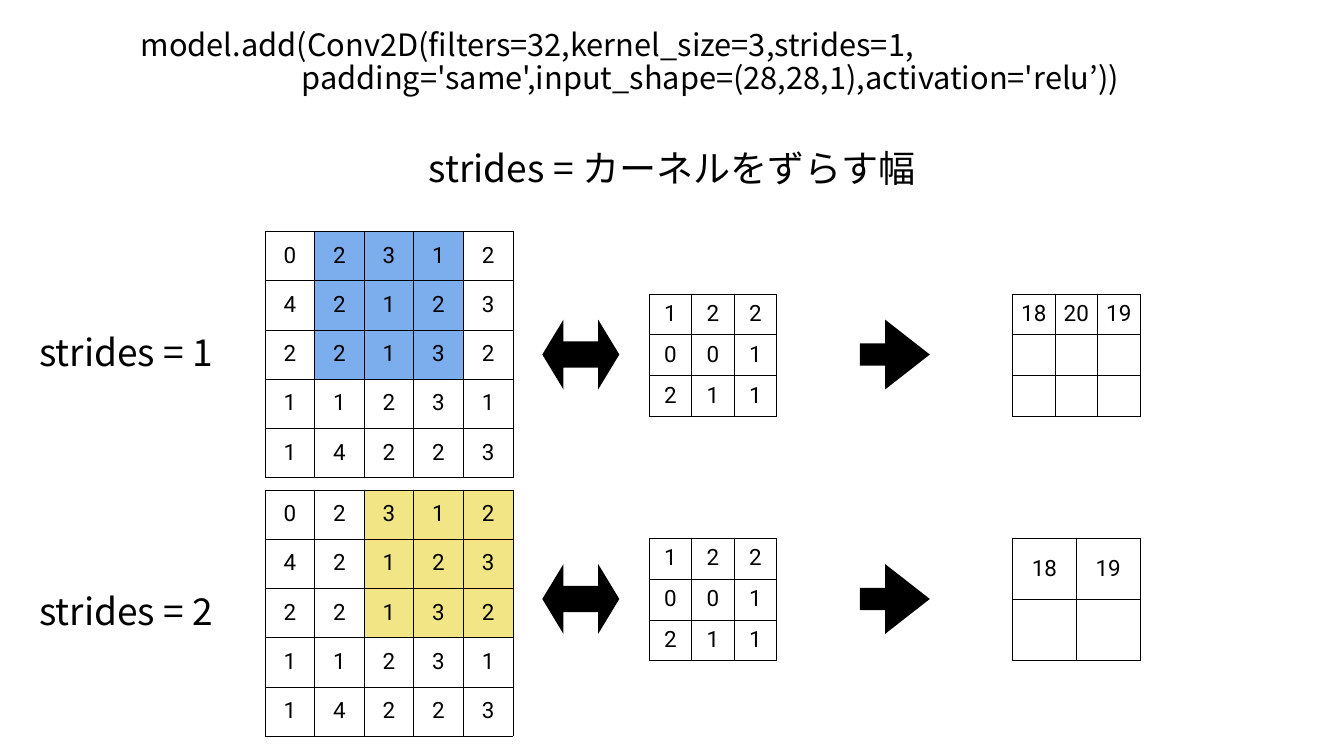
from lxml import etree
from pptx import Presentation
from pptx.dml.color import RGBColor
from pptx.enum import shapes, text
from pptx.oxml import ns
from pptx.util import Pt

BLACK = RGBColor(0x00, 0x00, 0x00)
WHITE = RGBColor(0xFF, 0xFF, 0xFF)
BLUE = RGBColor(0x7C, 0xAD, 0xED)
YELLOW = RGBColor(0xF1, 0xE5, 0x86)

SANS = "Noto Sans CJK JP"
DIGITS = "Roboto"
INSET = Pt(4.5)
CELL_W, CELL_H = 70.8, 70.4
SMALL_W, SMALL_H = 182.2, 175
GRID_X, KERNEL_X, RESULT_X = 378.7, 927.4, 1446.5

INPUT = [[0, 2, 3, 1, 2], [4, 2, 1, 2, 3], [2, 2, 1, 3, 2], [1, 1, 2, 3, 1], [1, 4, 2, 2, 3]]
KERNEL = [[1, 2, 2], [0, 0, 1], [2, 1, 1]]


def write(p, content, size=53, font=SANS, align=text.PP_ALIGN.CENTER):
    p.alignment = align
    p.line_spacing = 0.9
    r = p.add_run()
    r.text = str(content)
    r.font.size = Pt(size)
    r.font.name = font
    r.font.color.rgb = BLACK
    ea = etree.SubElement(r.font._element, ns.qn("a:ea"))
    ea.set("typeface", font)


def format_label(sp, content, x, y, w, h):
    sp.left, sp.top, sp.width, sp.height = Pt(x), Pt(y), Pt(w), Pt(h)
    tf = sp.text_frame
    tf.margin_left = tf.margin_right = tf.margin_top = tf.margin_bottom = INSET
    tf.vertical_anchor = text.MSO_ANCHOR.MIDDLE
    tf.word_wrap = False
    tf.auto_size = text.MSO_AUTO_SIZE.SHAPE_TO_FIT_TEXT
    write(tf.paragraphs[0], content)


def add_code(slide, lines, x, y, w, h):
    tf = slide.shapes.add_textbox(Pt(x), Pt(y), Pt(w), Pt(h)).text_frame
    tf.word_wrap = True
    tf.auto_size = text.MSO_AUTO_SIZE.SHAPE_TO_FIT_TEXT
    for i, (content, indent) in enumerate(lines):
        p = tf.add_paragraph() if i else tf.paragraphs[0]
        write(p, content, size=44, align=text.PP_ALIGN.LEFT)
        p._p.get_or_add_pPr().set("marL", str(Pt(indent)))


def add_borders(cell):
    tc_pr = cell._tc.get_or_add_tcPr()
    for side in ("lnL", "lnR", "lnT", "lnB"):
        ln = etree.SubElement(tc_pr, ns.qn("a:" + side), w=str(Pt(1)))
        fill = etree.SubElement(ln, ns.qn("a:solidFill"))
        etree.SubElement(fill, ns.qn("a:srgbClr"), val=str(BLACK))


def fill_cell(cell, color, alpha=None):
    if color is None:
        cell.fill.background()
        return
    cell.fill.solid()
    cell.fill.fore_color.rgb = color
    if alpha:
        clr = cell._tc.tcPr.find(".//" + ns.qn("a:srgbClr"))
        etree.SubElement(clr, ns.qn("a:alpha"), val=str(alpha * 1000))


def add_matrix(slide, values, x, y, w, h, color=None, alpha=None, window=()):
    rows, cols = len(values), len(values[0])
    table = slide.shapes.add_table(rows, cols, Pt(x), Pt(y), Pt(w), Pt(h)).table
    table.first_row = table.horz_banding = False
    for col in table.columns:
        col.width = Pt(w / cols)
    for i, row in enumerate(values):
        table.rows[i].height = Pt(h / rows)
        for j, value in enumerate(row):
            cell = table.cell(i, j)
            cell.margin_left = cell.margin_right = INSET
            cell.margin_top = cell.margin_bottom = INSET
            cell.vertical_anchor = text.MSO_ANCHOR.MIDDLE
            add_borders(cell)
            fill_cell(cell, BLUE if (i, j) in window else color, alpha)
            if value != "":
                write(cell.text_frame.paragraphs[0], value, size=32, font=DIGITS)


def add_arrow(slide, kind, x, y, w, h, adjustments):
    sp = slide.shapes.add_shape(kind, Pt(x), Pt(y), Pt(w), Pt(h))
    sp.shadow.inherit = False
    sp.fill.solid()
    sp.fill.fore_color.rgb = BLACK
    sp.line.fill.background()
    for i, value in enumerate(adjustments):
        sp.adjustments[i] = value


def add_example(slide, stride, grid_y, kernel_y, result, window=()):
    format_label(slide.shapes.add_textbox(0, 0, 0, 0), f"strides = {stride}",
                 33.8, grid_y + 143.3, 293, 65.5)
    add_matrix(slide, INPUT, GRID_X, grid_y, 5 * CELL_W, 5 * CELL_H, color=WHITE, window=window)
    add_matrix(slide, KERNEL, KERNEL_X, kernel_y, SMALL_W, SMALL_H)
    add_matrix(slide, result, RESULT_X, kernel_y, SMALL_W, SMALL_H)
    arrow_y = kernel_y + 36.7
    add_arrow(slide, shapes.MSO_SHAPE.LEFT_RIGHT_ARROW, 774.7, arrow_y, 110, 100, (0.376, 0.303))
    add_arrow(slide, shapes.MSO_SHAPE.RIGHT_ARROW, 1228.3, arrow_y, 100, 100, (0.32, 0.64))


def main():
    prs = Presentation()
    prs.slide_width, prs.slide_height = Pt(1920), Pt(1080)
    slide = prs.slides.add_slide(prs.slide_layouts[5])
    format_label(slide.shapes.title, "strides = カーネルをずらす幅", 590.4, 210.2, 739.4, 65.5)
    add_code(slide, [
        ("model.add(Conv2D(filters=32,kernel_size=3,strides=1,", 0),
        ("padding='same',input_shape=(28,28,1),activation='relu’))", 230),
    ], 193.7, 38.9, 1519.2, 103)

    window = {(i, j) for i in range(3) for j in range(1, 4)}
    add_example(slide, 1, 330.5, 419.8, [[18, 20, 19], [""] * 3, [""] * 3], window)
    add_example(slide, 2, 699.8, 769, [[18, 19], [""] * 2])
    add_matrix(slide, [row[2:] for row in INPUT[:3]], GRID_X + 2 * CELL_W, 699.8,
               3 * CELL_W, 3 * CELL_H, color=YELLOW, alpha=41)
    prs.save("out.pptx")


if __name__ == "__main__":
    main()
